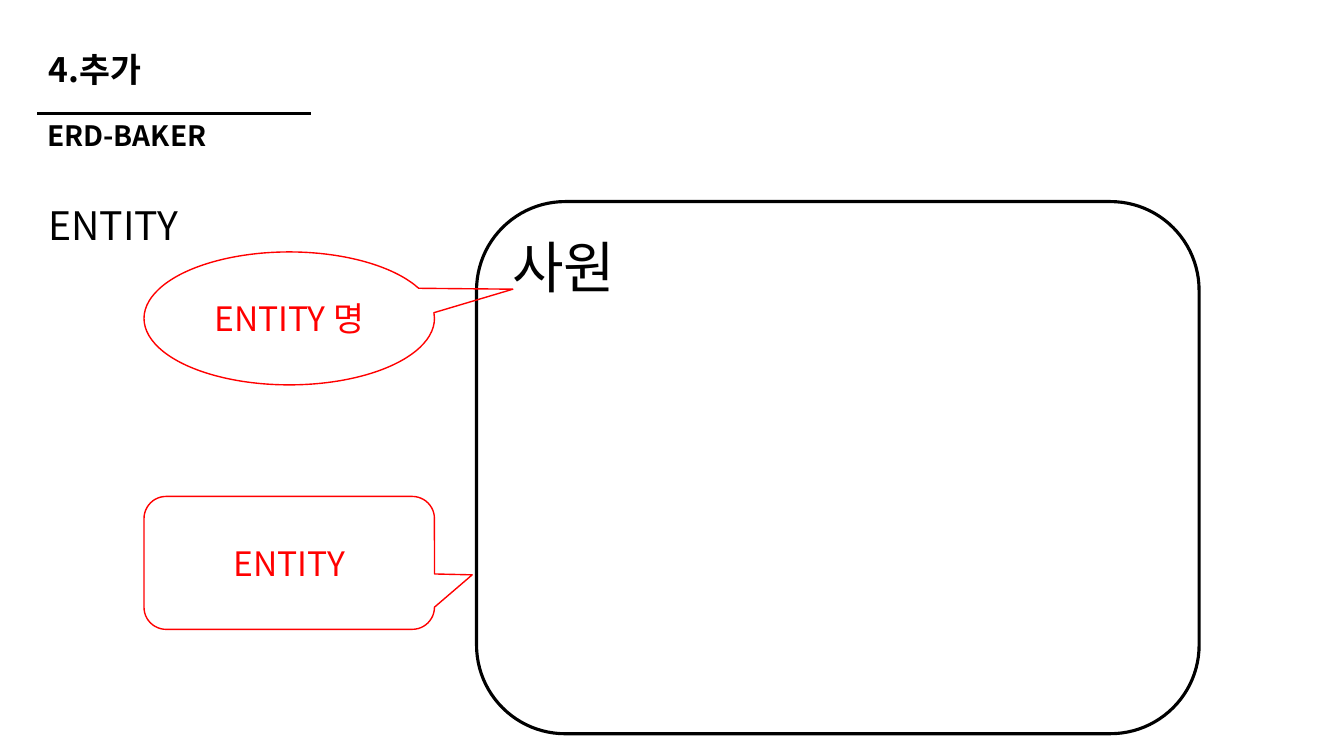
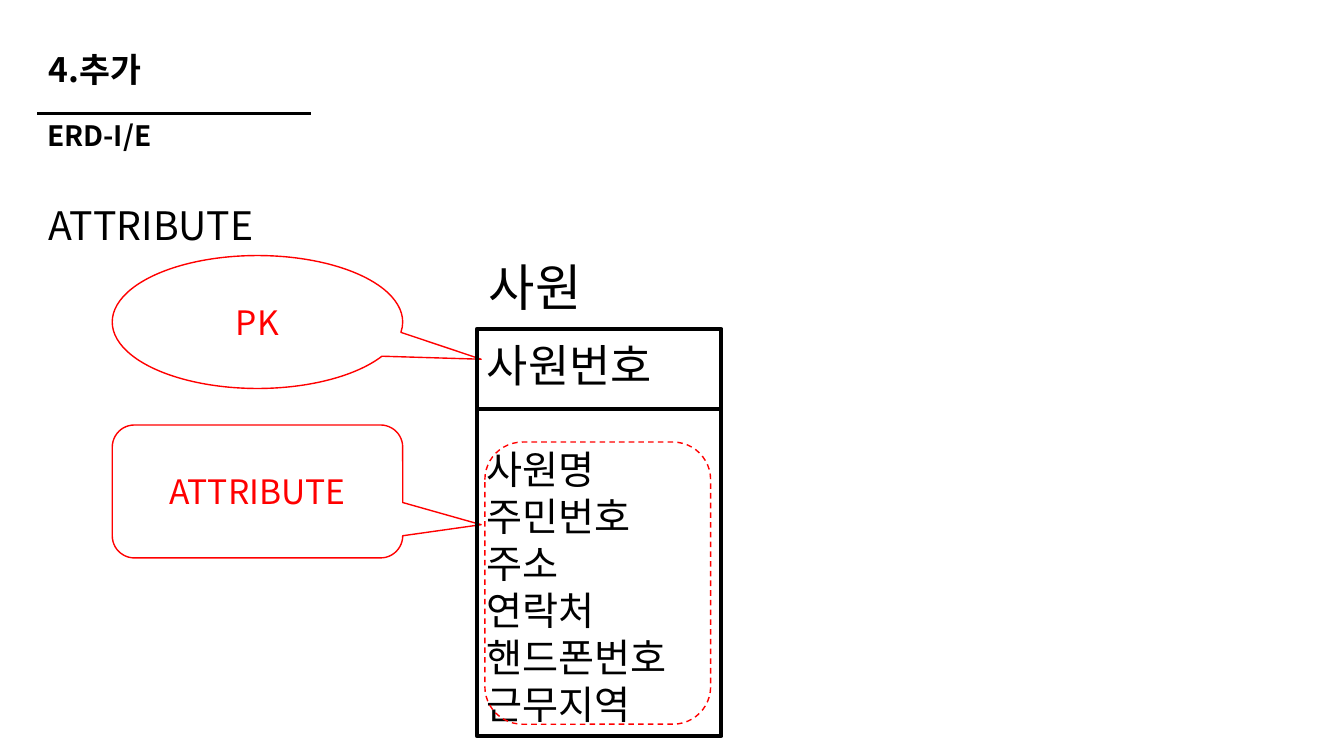
from dataclasses import dataclass

from lxml import etree
from pptx import Presentation
from pptx.dml.color import RGBColor
from pptx.enum.dml import MSO_LINE
from pptx.enum.shapes import MSO_CONNECTOR, MSO_SHAPE
from pptx.enum.text import MSO_ANCHOR, MSO_AUTO_SIZE, PP_ALIGN
from pptx.oxml.ns import qn
from pptx.util import Cm, Pt

RECT = MSO_SHAPE.RECTANGLE
ROUND = MSO_SHAPE.ROUNDED_RECTANGLE
OVAL_TIP = MSO_SHAPE.OVAL_CALLOUT
ROUND_TIP = MSO_SHAPE.ROUNDED_RECTANGULAR_CALLOUT
STRAIGHT = MSO_CONNECTOR.STRAIGHT
DASH = MSO_LINE.DASH
TOP, MIDDLE = MSO_ANCHOR.TOP, MSO_ANCHOR.MIDDLE
LEFT, CENTER = PP_ALIGN.LEFT, PP_ALIGN.CENTER
NO_FIT = MSO_AUTO_SIZE.NONE
TITLE_ONLY = 5


@dataclass(frozen=True)
class Theme:
    font: str = "Noto Sans CJK KR"
    ink: RGBColor = RGBColor(0, 0, 0)
    note: RGBColor = RGBColor(255, 0, 0)
    title: float = 24
    sub: float = 20
    body: float = 28
    name: float = 36
    key: float = 32
    big: float = 40
    tip: float = 24
    rule: float = 2.25
    frame: float = 3
    thin: float = 1


THEME = Theme()


@dataclass(frozen=True)
class Box:
    """Left, top, width and height in centimetres."""
    x: float
    y: float
    w: float
    h: float

    def cm(self) -> tuple:
        return Cm(self.x), Cm(self.y), Cm(self.w), Cm(self.h)


@dataclass(frozen=True)
class Para:
    text: str
    size: float
    bold: bool = False
    color: RGBColor = THEME.ink
    align: PP_ALIGN = LEFT
    space: float = 1.0
    before: float = 0
    indent: float = 0


@dataclass(frozen=True)
class Tip:
    """A callout; dx and dy place its point relative to the centre."""
    kind: MSO_SHAPE
    x: float
    y: float
    dx: float
    dy: float
    text: str


TITLE = Box(0.97, 0.79, 11.05, 2.01)
SUB = Box(0.94, 2.87, 6.58, 1.19)
BODY = Box(0.97, 5.08, 31.83, 13.41)
TIP_W, TIP_H = 7.32, 3.35
ENTITY = Box(12.01, 5.08, 18.21, 13.41)
TABLE = Box(12.02, 8.29, 6.16, 10.26)
GROUP = Box(12.22, 11.14, 5.69, 7.11)
SPLIT = 10.3


def write(frame, paras: list[Para], anchor=TOP) -> None:
    frame.text = "\n".join(p.text for p in paras)
    frame.word_wrap = True
    frame.auto_size = NO_FIT
    frame.vertical_anchor = anchor
    for p, item in zip(frame.paragraphs, paras):
        p.alignment = item.align
        p.line_spacing = item.space
        p.space_before = Pt(item.before)
        if item.indent:
            p._p.get_or_add_pPr().set("marL", str(Cm(item.indent)))
        for run in p.runs:
            font = run.font
            font.name = THEME.font
            font.size = Pt(item.size)
            font.bold = item.bold
            font.color.rgb = item.color
            east = etree.SubElement(run._r.get_or_add_rPr(), qn("a:ea"))
            east.set("typeface", THEME.font)


def label(slide, box: Box, paras: list[Para], anchor=TOP) -> None:
    write(slide.shapes.add_textbox(*box.cm()).text_frame, paras, anchor)


def outline(slide, kind, box: Box, color: RGBColor, width: float):
    """Add an unfilled shape with a plain line."""
    shape = slide.shapes.add_shape(kind, *box.cm())
    shape.shadow.inherit = False
    shape.fill.background()
    shape.line.color.rgb = color
    shape.line.width = Pt(width)
    return shape


def rule(slide, x: float, y: float, w: float, width: float) -> None:
    line = slide.shapes.add_connector(STRAIGHT, Cm(x), Cm(y), Cm(x + w), Cm(y))
    line.line.color.rgb = THEME.ink
    line.line.width = Pt(width)
    etree.SubElement(line._element.spPr, qn("a:effectLst"))


def callout(slide, tip: Tip) -> None:
    box = Box(tip.x, tip.y, TIP_W, TIP_H)
    shape = outline(slide, tip.kind, box, THEME.note, THEME.thin)
    shape.adjustments[0] = tip.dx
    shape.adjustments[1] = tip.dy
    para = Para(tip.text, THEME.tip, color=THEME.note, align=CENTER)
    write(shape.text_frame, [para], MIDDLE)


def start(deck, sub: str, body: list[Para]):
    """Add a slide with the shared title, rule, subtitle and body."""
    slide = deck.slides.add_slide(deck.slide_layouts[TITLE_ONLY])
    title = slide.shapes.title
    title.left, title.top, title.width, title.height = TITLE.cm()
    head = Para("4.추가", THEME.title, bold=True, space=0.9)
    write(title.text_frame, [head], MIDDLE)
    label(slide, BODY, body)
    rule(slide, 0.94, 2.86, 6.91, THEME.rule)
    label(slide, SUB, [Para(sub, THEME.sub, bold=True, space=0.9)], MIDDLE)
    return slide


def entity(deck) -> None:
    slide = start(deck, "ERD-BAKER", [Para("ENTITY", THEME.body, space=0.9)])
    shape = outline(slide, ROUND, ENTITY, THEME.ink, THEME.rule)
    write(shape.text_frame, [Para("사원", THEME.big)])
    callout(slide, Tip(OVAL_TIP, 3.63, 6.35, 0.77, -0.22, "ENTITY 명"))
    callout(slide, Tip(ROUND_TIP, 3.63, 12.51, 0.63, 0.09, "ENTITY"))


def attribute(deck) -> None:
    slide = start(deck, "ERD-I/E", [
        Para("ATTRIBUTE", THEME.body, space=0.9),
        Para("사원", THEME.name, space=0.9, before=10, indent=11.1),
    ])
    callout(slide, Tip(OVAL_TIP, 2.83, 6.44, 0.77, 0.28, "PK"))
    callout(slide, Tip(ROUND_TIP, 2.83, 10.71, 0.77, 0.25, "ATTRIBUTE"))

    names = ["사원명", "주민번호", "주소", "연락처", "핸드폰번호", "근무지역"]
    rows = [Para("사원번호", THEME.key)]
    rows += [Para(name, THEME.body, before=0 if i else 38)
             for i, name in enumerate(names)]
    table = outline(slide, RECT, TABLE, THEME.ink, THEME.frame)
    write(table.text_frame, rows, MIDDLE)
    rule(slide, TABLE.x, SPLIT, TABLE.w, THEME.frame)
    group = outline(slide, ROUND, GROUP, THEME.note, THEME.thin)
    group.line.dash_style = DASH


def main() -> None:
    deck = Presentation()
    deck.slide_width, deck.slide_height = Cm(33.87), Cm(19.05)
    entity(deck)
    attribute(deck)
    deck.save("out.pptx")


if __name__ == "__main__":
    main()
